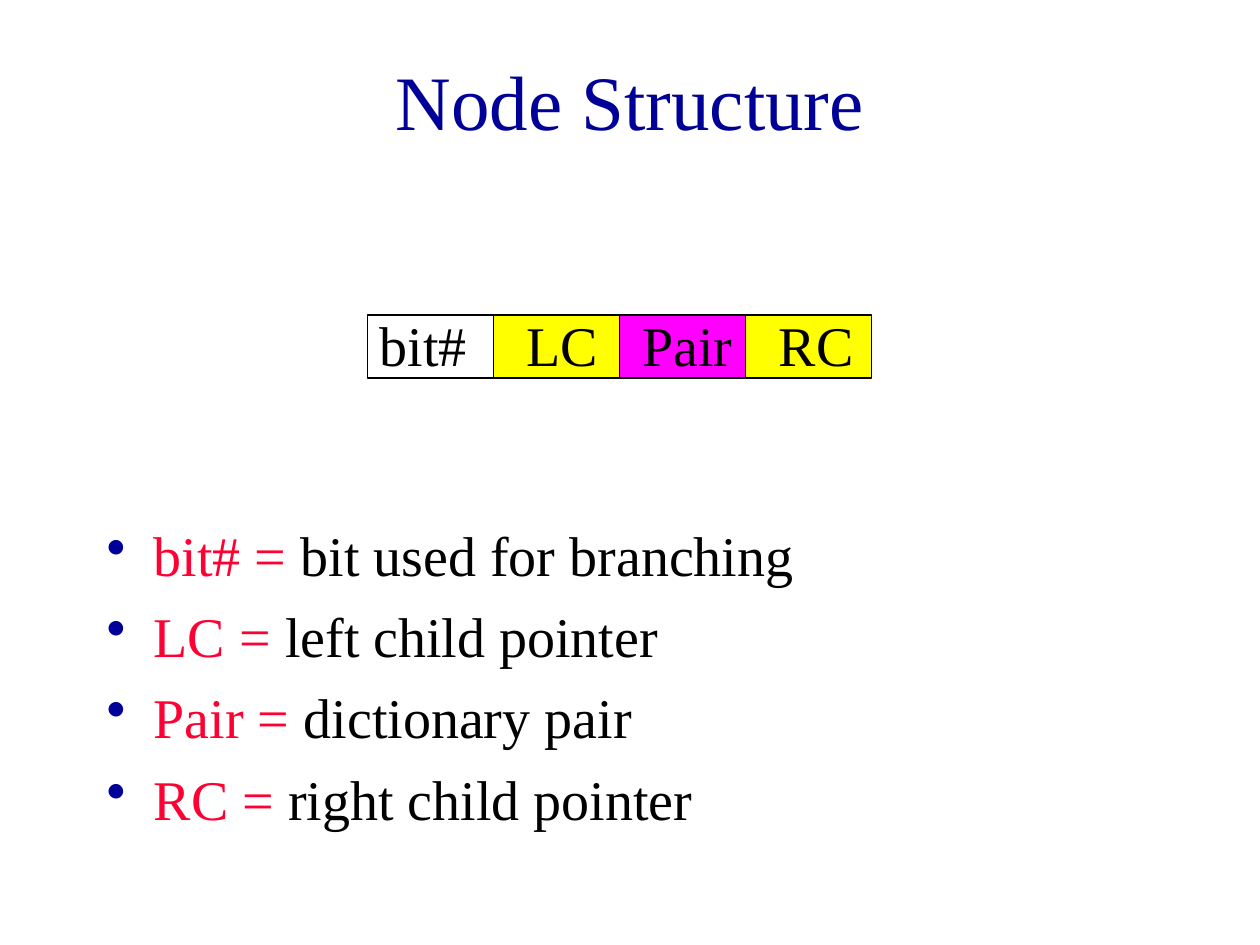
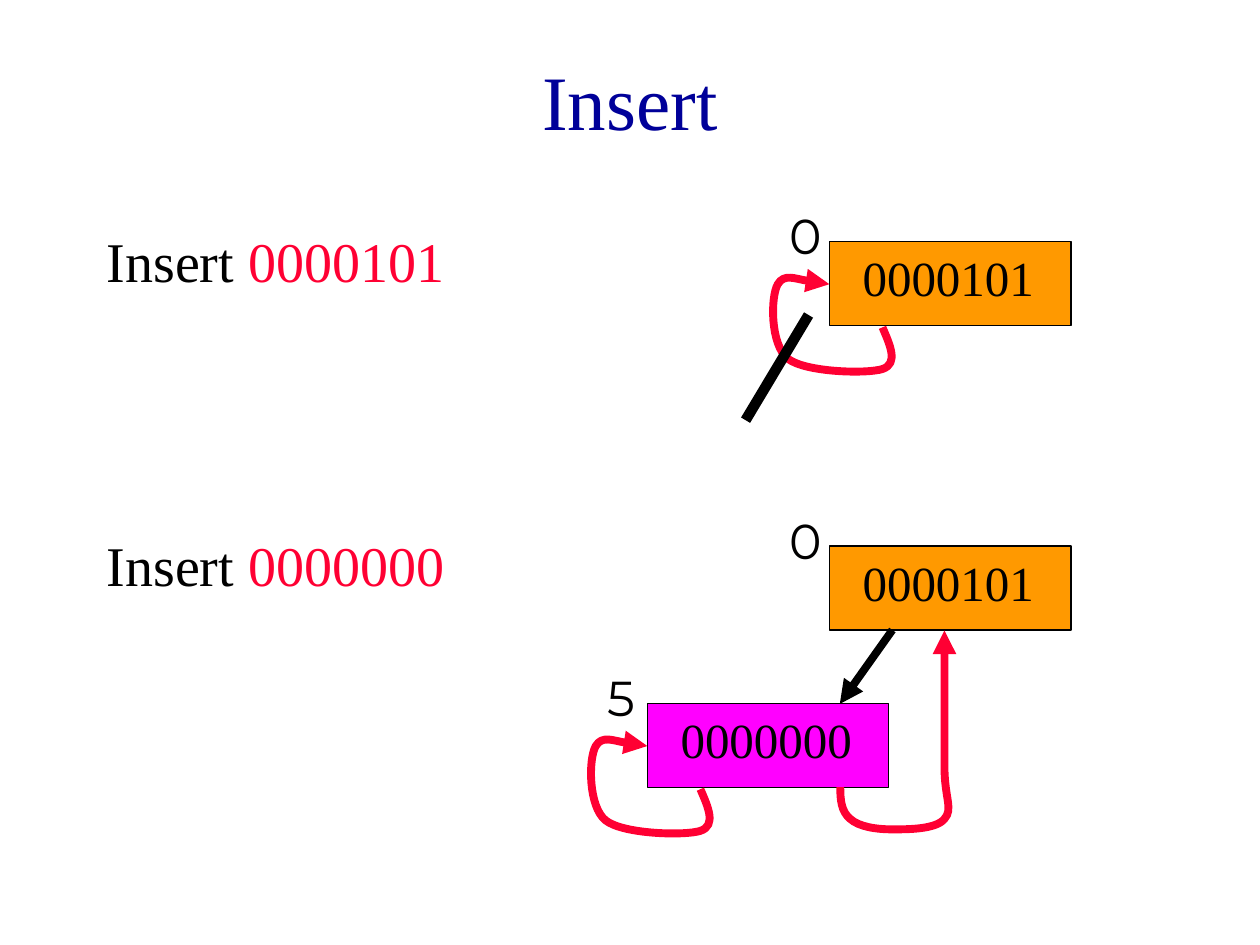
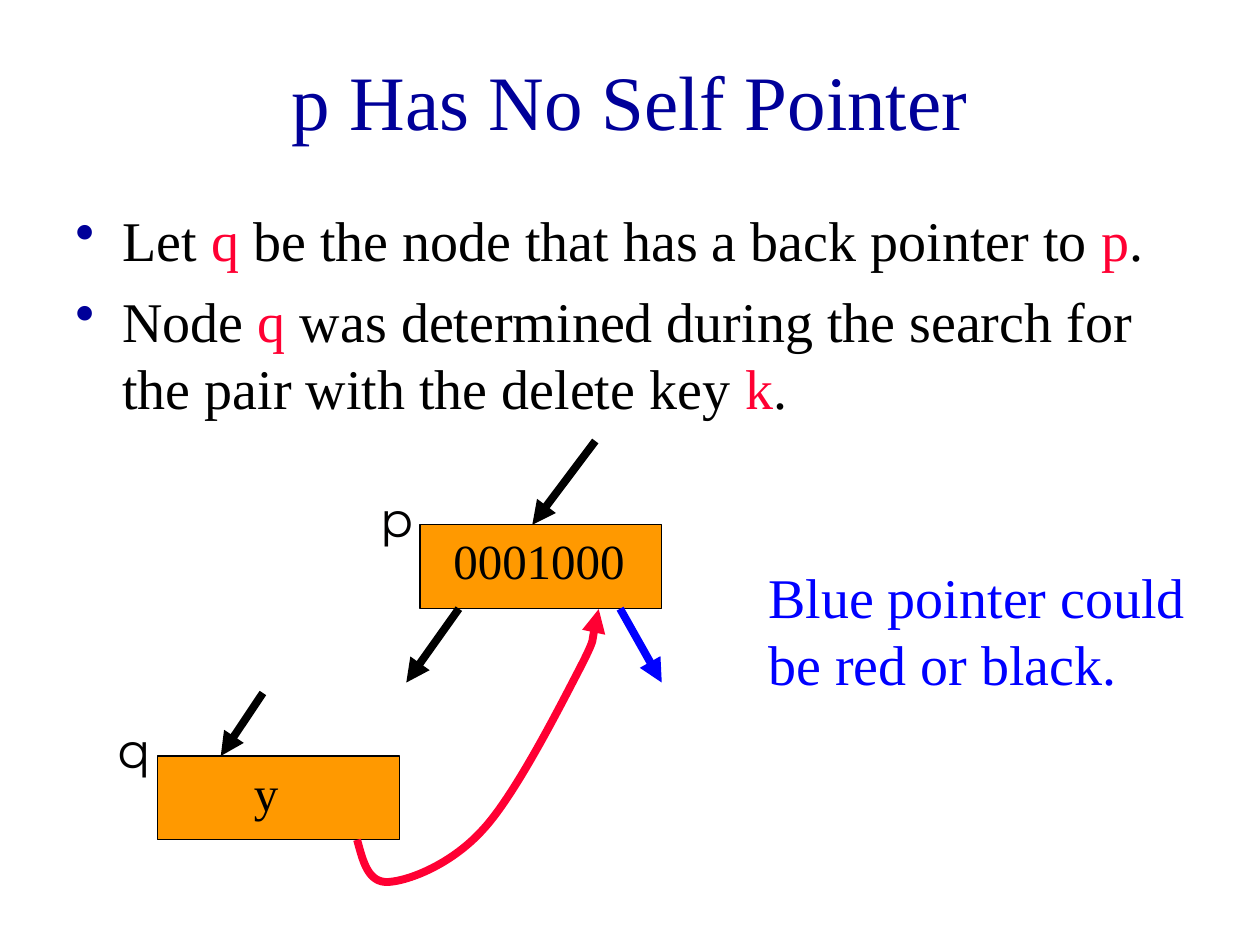
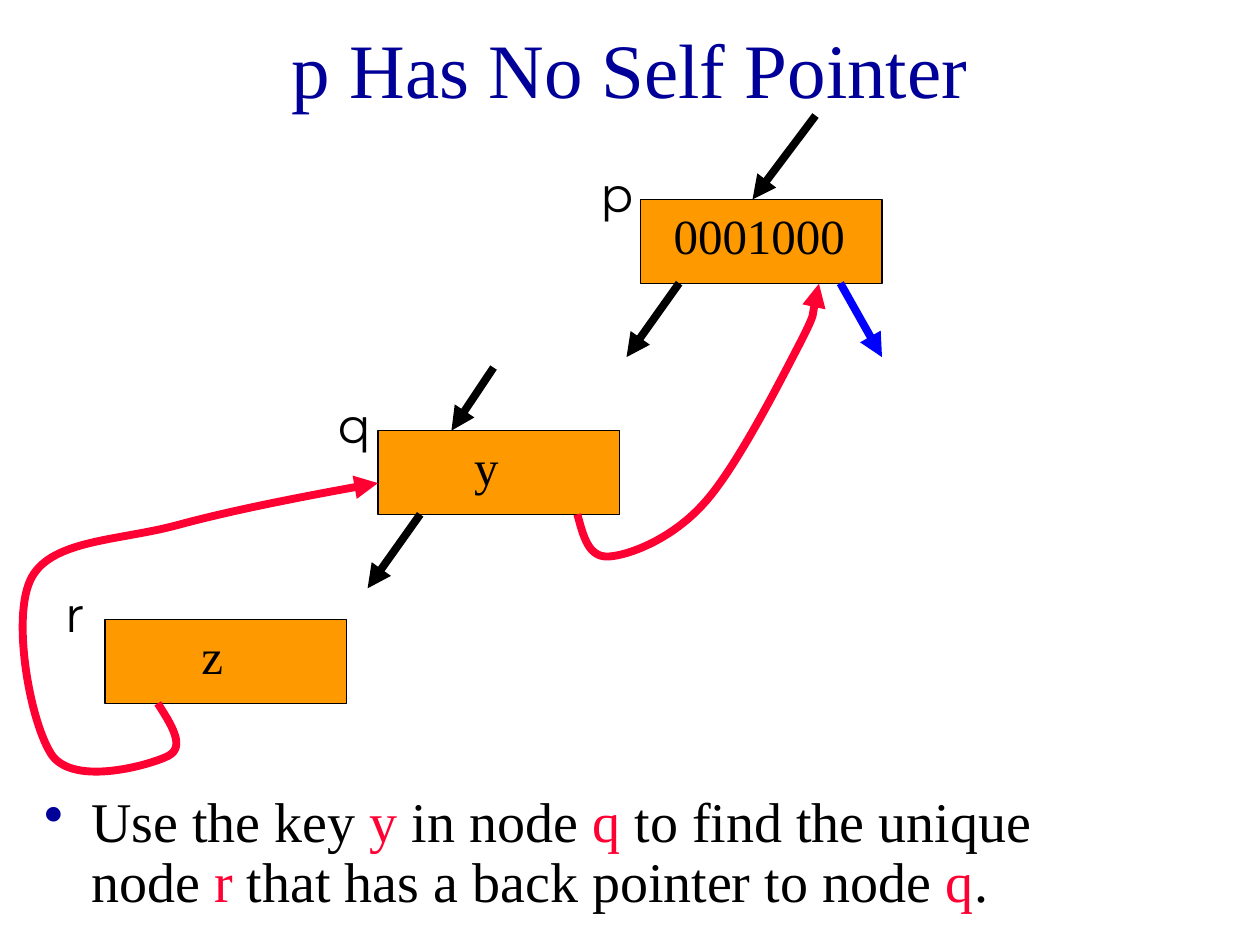
import pptx
import pptx.util
import pptx.dml.color
import pptx.enum.shapes
import pptx.enum.text
import pptx.oxml.ns
import lxml.etree

Cm = pptx.util.Cm
Pt = pptx.util.Pt
qn = pptx.oxml.ns.qn

HUES = {
    "navy": "000099", "red": "FF0033", "black": "000000", "ink": "010000",
    "blue": "0000FF", "white": "FFFFFF", "pink": "FF00FF",
    "yellow": "FFFF00", "orange": "FF9900",
}
SERIF, SANS = "Times New Roman", "Montserrat"
WIDE, HIGH = 4.87, 1.69          # size of a node in cm
STROKE = 4.5                     # pointer width in points

# Pointer curves in cm from the top left corner of the node they leave:
# a start point, then three points for each Bezier piece
SELF = [(1.07, 1.73),
        (1.22, 2.08), (1.4, 2.46), (1.07, 2.57),
        (0.76, 2.67), (-0.48, 2.64), (-0.84, 2.36),
        (-1.19, 2.08), (-1.19, 1.12), (-1.04, 0.86),
        (-0.91, 0.64), (-0.18, 0.86), (0, 0.86)]
BACK = [(3.89, 1.69),
        (3.89, 1.95), (3.91, 2.18), (4.09, 2.33),
        (4.27, 2.49), (4.62, 2.54), (4.94, 2.54),
        (5.26, 2.54), (5.82, 2.54), (5.99, 2.33),
        (6.17, 2.13), (5.99, 1.91), (5.99, 1.27),
        (5.99, 0.64), (5.99, -1.02), (5.99, -1.47)]
Q_TO_P = [(4.02, 1.69),
          (4.14, 2.13), (4.24, 2.57), (4.66, 2.54),
          (5.08, 2.51), (5.93, 2.18), (6.56, 1.48),
          (7.2, 0.79), (8.08, -0.94), (8.47, -1.69),
          (8.86, -2.44), (8.81, -2.74), (8.89, -2.96)]
R_TO_Q = [(1.06, 1.69),
          (1.35, 2.14), (1.62, 2.57), (1.27, 2.75),
          (0.91, 2.93), (-0.59, 3.36), (-1.06, 2.75),
          (-1.5, 2.14), (-1.91, -0.07), (-1.48, -0.85),
          (-1.06, -1.62), (0.32, -1.59), (1.48, -1.91),
          (2.66, -2.23), (4.84, -2.64), (5.5, -2.75)]


def tint(name):
    return pptx.dml.color.RGBColor.from_string(HUES[name])


def dot(para):
    """Give a paragraph a navy bullet with a hanging indent."""
    props = para._p.get_or_add_pPr()
    props.set("marL", str(Cm(0.95)))
    props.set("indent", str(-Cm(0.95)))
    shade = lxml.etree.SubElement(props, qn("a:buClr"))
    lxml.etree.SubElement(shade, qn("a:srgbClr")).set("val", HUES["navy"])
    lxml.etree.SubElement(props, qn("a:buChar")).set("char", "•")


def write(frame, *lines, size=32, hue="black", font=SERIF, align=None,
          bullet=False, gap=8, lead=None):
    """Fill a frame; words between asterisks turn red."""
    frame.word_wrap = True
    frame.auto_size = pptx.enum.text.MSO_AUTO_SIZE.NONE
    for i, line in enumerate(lines):
        para = frame.add_paragraph() if i else frame.paragraphs[0]
        para.alignment = align or pptx.enum.text.PP_ALIGN.LEFT
        if i:
            para.space_before = Pt(gap)
        if lead:
            para.line_spacing = lead
        if bullet:
            dot(para)
        for j, part in enumerate(line.split("*")):
            if not part:
                continue
            run = para.add_run()
            run.text = part
            run.font.size = Pt(size)
            run.font.name = font
            run.font.color.rgb = tint("red" if j % 2 else hue)


def label(slide, x, y, w, h, *lines, **style):
    box = slide.shapes.add_textbox(Cm(x), Cm(y), Cm(w), Cm(h))
    write(box.text_frame, *lines, **style)
    return box


def block(slide, x, y, w, h, fill, width):
    kind = pptx.enum.shapes.MSO_SHAPE.RECTANGLE
    shape = slide.shapes.add_shape(kind, Cm(x), Cm(y), Cm(w), Cm(h))
    shape.shadow.inherit = False
    shape.fill.solid()
    shape.fill.fore_color.rgb = tint(fill)
    shape.line.color.rgb = tint("black")
    shape.line.width = Pt(width)


def stroke(shape, hue, width, tip):
    """Colour a line or curve and give it an arrowhead."""
    shape.line.color.rgb = tint(hue)
    shape.line.width = Pt(width)
    props = shape.element.spPr
    if tip:
        line = props.find(qn("a:ln"))
        lxml.etree.SubElement(line, qn("a:tailEnd")).set("type", "triangle")


def arrow(slide, node, start, end, hue="black", width=STROKE, tip=True):
    """Straight pointer, measured from the corner of a node."""
    x, y = node
    line = slide.shapes.add_connector(
        pptx.enum.shapes.MSO_CONNECTOR.STRAIGHT,
        Cm(x + start[0]), Cm(y + start[1]), Cm(x + end[0]), Cm(y + end[1]))
    stroke(line, hue, width, tip)
    lxml.etree.SubElement(line.element.spPr, qn("a:effectLst"))


def curve(slide, node, points):
    """Red curved pointer, measured from the corner of a node."""
    spots = [(Cm(node[0] + x), Cm(node[1] + y)) for x, y in points]
    pen = slide.shapes.build_freeform(*spots[0])
    pen.add_line_segments(spots[1:], close=False)
    shape = pen.convert_to_shape()
    shape.shadow.inherit = False
    shape.fill.background()
    stroke(shape, "red", STROKE, True)
    # Turn each three straight steps into one Bezier piece
    route = next(shape.element.iter(qn("a:path")))
    steps = route.findall(qn("a:lnTo"))
    for i in range(0, len(steps), 3):
        piece = lxml.etree.SubElement(route, qn("a:cubicBezTo"))
        for step in steps[i:i + 3]:
            piece.append(step[0])
            route.remove(step)


def node(slide, x, y, key, name, fill="orange"):
    """Tree node with its key inside and its name at the top left."""
    block(slide, x, y, WIDE, HIGH, fill, 0.75)
    inset, room = (1.69, 1.48) if len(key) == 1 else (0.42, WIDE)
    label(slide, x + inset, y, room, 1.45, key, size=28)
    label(slide, x - 1.06, y - 0.85, 1.69, 1.45, name,
          size=28, hue="ink", font=SANS)
    return x, y


def begin(deck, title, h=3.18):
    """New slide with its title."""
    slide = deck.slides.add_slide(deck.slide_layouts[5])
    head = slide.shapes.title
    head.left, head.top = Cm(1.9), Cm(0.42)
    head.width, head.height = Cm(21.6), Cm(h)
    write(head.text_frame, title, size=44, hue="navy",
          align=pptx.enum.text.PP_ALIGN.CENTER)
    head.text_frame.vertical_anchor = pptx.enum.text.MSO_ANCHOR.MIDDLE
    return slide


def record(slide, x, y):
    """Row of the four fields of a node."""
    side = 2.54
    fields = [("bit#", "white", 0), ("LC", "yellow", 0.42),
              ("Pair", "pink", 0.21), ("RC", "yellow", 0.42)]
    for i, (name, fill, shift) in enumerate(fields):
        left = x + i * side
        block(slide, left, y, side, side / 2, fill, 1)
        label(slide, left + shift, y - 0.21, side, 1.63, name)


def task(slide, y, text):
    """Step heading at the left of the insert slide."""
    box = label(slide, 1.9, y, 8.47, 1.63, text)
    box.fill.solid()
    box.fill.fore_color.rgb = tint("white")


def pair(slide, x, y, shift=0):
    """Nodes p and q with their pointers; p stands at x, y."""
    p = node(slide, x, y, "0001000", "p")
    arrow(slide, p, (3.53, -1.69), (2.26, 0))
    arrow(slide, p, (0.78, HIGH), (-0.28, 3.18))
    q = node(slide, x - 5.29, y + 4.66, "y", "q")
    arrow(slide, q, (2.12 + shift, -1.27), (1.27 + shift, 0))
    curve(slide, q, Q_TO_P)
    arrow(slide, p, (4.03, HIGH), (WIDE, 3.18), hue="blue")
    return q


def fields(deck):
    slide = begin(deck, "Node Structure")
    label(slide, 1.9, 10.37, 21.6, 6.56,
          "*bit# =* bit used for branching", "*LC =* left child pointer",
          "*Pair =* dictionary pair", "*RC =* right child pointer",
          bullet=True)
    record(slide, 7.41, 6.35)


def insert(deck):
    slide = begin(deck, "Insert")
    # First key
    task(slide, 4.45, "Insert *0000101*")
    root = node(slide, 16.72, 4.87, "0000101", "0")
    curve(slide, root, SELF)
    arrow(slide, root, (-0.42, 1.48), (-1.69, 3.6), width=6, tip=False)
    # Second key
    task(slide, 10.58, "Insert *0000000*")
    child = node(slide, 13.05, 14.18, "0000000", "5", fill="pink")
    curve(slide, child, SELF)
    root = node(slide, 16.72, 11.01, "0000101", "0")
    arrow(slide, root, (1.27, HIGH), (0.21, 3.18))
    curve(slide, child, BACK)


def find_q(deck):
    slide = begin(deck, "p Has No Self Pointer")
    label(slide, 1.27, 4.02, 22.86, 4.87,
          "Let *q* be the node that has a back pointer to *p*.",
          "Node *q* was determined during the search for the pair"
          " with the delete key *k*.", bullet=True)
    pair(slide, 8.47, 10.58)
    label(slide, 15.24, 11.22, 9.53, 2.97,
          "Blue pointer could be red or black.", hue="blue")


def find_r(deck):
    slide = begin(deck, "p Has No Self Pointer", h=1.9)
    label(slide, 0.64, 15.88, 22.86, 2.75,
          "Use the key *y* in node *q* to find the unique node *r*"
          " that has a back pointer to node *q*.", bullet=True, lead=0.9)
    q = pair(slide, 12.91, 4.02, shift=0.21)
    arrow(slide, q, (0.85, HIGH), (-0.21, 3.18))
    r = node(slide, 2.12, 12.49, "z", "r")
    curve(slide, r, R_TO_Q)


def main():
    deck = pptx.Presentation()
    deck.slide_width, deck.slide_height = Cm(25.4), Cm(19.05)
    for build in (fields, insert, find_q, find_r):
        build(deck)
    deck.save("out.pptx")


if __name__ == "__main__":
    main()
